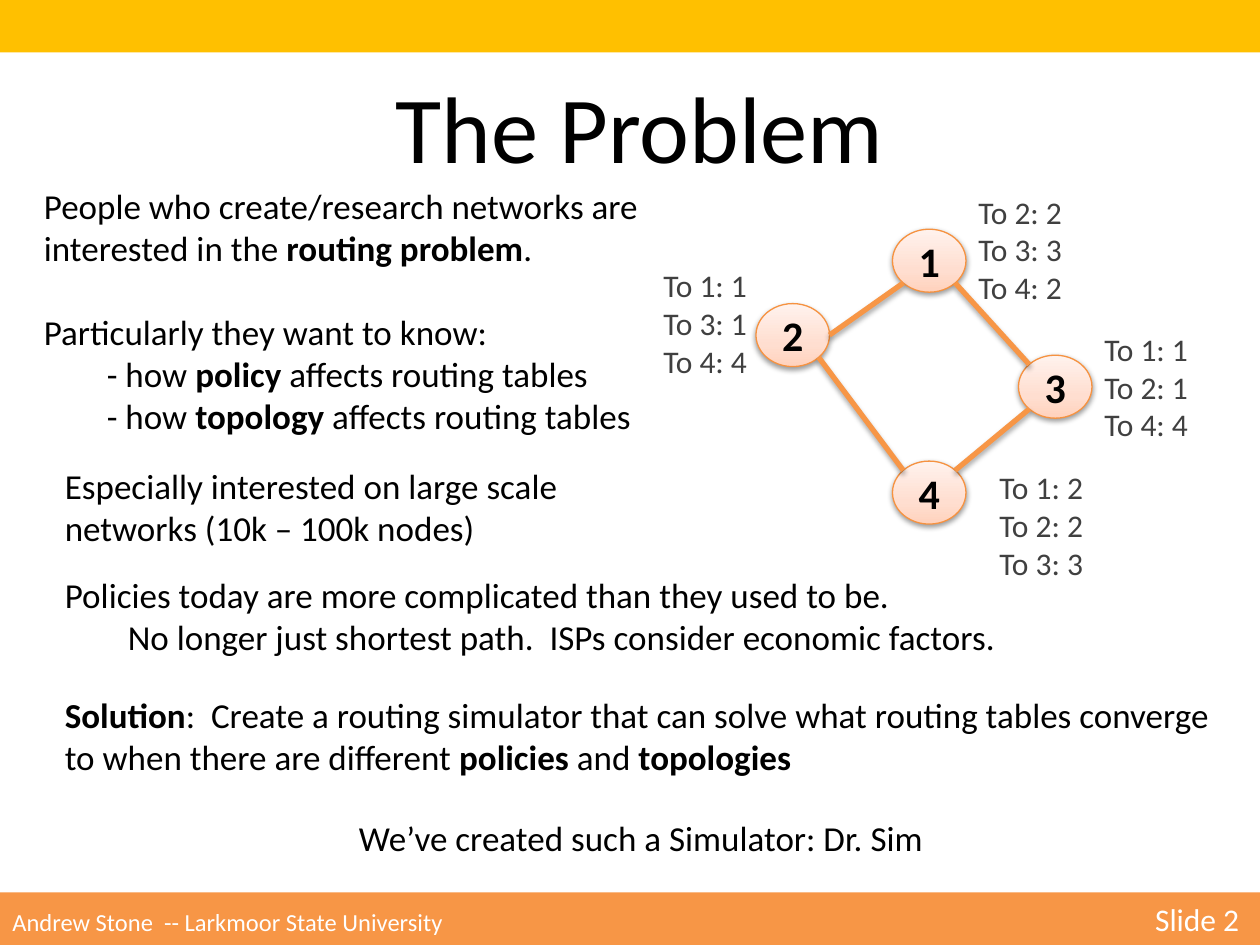
from dataclasses import dataclass
from math import cos, radians, sin

from lxml.etree import SubElement
from pptx import Presentation
from pptx.dml.color import RGBColor
from pptx.enum.shapes import MSO_CONNECTOR as Connector, MSO_SHAPE as Shape
from pptx.enum.text import MSO_ANCHOR as Anchor, MSO_AUTO_SIZE as AutoSize, PP_ALIGN as Align
from pptx.oxml.ns import qn
from pptx.util import Pt


@dataclass(frozen=True)
class Theme:
    font: str = "Calibri"
    black: str = "000000"
    grey: str = "404040"
    white: str = "FFFFFF"
    gold: str = "FFC000"
    orange: str = "F79646"
    node_line: str = "F69240"
    node_stops: tuple = ((0, "FFD2BD"), (35, "FFDED0"), (100, "FFF2ED"))
    title: int = 54
    node: int = 24
    body: int = 20
    label: int = 18
    footer: int = 14


THEME = Theme()
PAGE_WIDTH, PAGE_HEIGHT, BAND_HEIGHT = 720, 540, 30
NODE_WIDTH, NODE_HEIGHT = 42, 36

# number: node left and top, table left and top, routes as (target, next hop)
NODES = {
    1: ((510, 131), (552, 106.5), ((2, 2), (3, 3), (4, 2))),
    2: ((432, 173.5), (372, 148.5), ((1, 1), (3, 1), (4, 4))),
    3: ((582, 203), (624, 185), ((1, 1), (2, 1), (4, 4))),
    4: ((510, 263.5), (564, 264), ((1, 2), (2, 2), (3, 3))),
}
# start node, angle on its rim, end node, angle on its rim
LINKS = ((2, 0, 1, 135), (2, 45, 4, 225), (3, 225, 1, 45), (3, 135, 4, 315))


def rgb(color):
    return RGBColor.from_string(color)


def add_run(para, text, size, color=THEME.black, bold=False):
    span = para.add_run()
    span.text = text
    span.font.name = THEME.font
    span.font.size = Pt(size)
    span.font.bold = bold
    span.font.color.rgb = rgb(color)


def add_text(page, place, paras, size=THEME.body, color=THEME.black,
             wrap=True, align=Align.LEFT):
    """Each paragraph is (runs, left margin, space before); odd runs are bold."""
    box = page.shapes.add_textbox(*map(Pt, place))
    frame = box.text_frame
    frame.word_wrap = wrap
    frame.auto_size = AutoSize.SHAPE_TO_FIT_TEXT
    for index, (runs, margin, gap) in enumerate(paras):
        para = frame.add_paragraph() if index else frame.paragraphs[0]
        para.alignment = align
        if gap:
            para.space_before = Pt(gap)
        if margin:
            para._p.get_or_add_pPr().set("marL", str(Pt(margin)))
        for number, text in enumerate(runs):
            if text:
                add_run(para, text, size, color, bold=number % 2 == 1)


def add_shadow(item, opacity, distance):
    effects = SubElement(item._element.spPr, qn("a:effectLst"))
    shadow = SubElement(effects, qn("a:outerShdw"), blurRad=str(Pt(3.1)),
                        dist=str(Pt(distance)), dir="5400000", rotWithShape="0")
    color = SubElement(shadow, qn("a:srgbClr"), val=THEME.black)
    SubElement(color, qn("a:alpha"), val=str(opacity * 1000))


def add_band(page, top, color):
    band = page.shapes.add_shape(Shape.RECTANGLE, 0, Pt(top), Pt(PAGE_WIDTH), Pt(BAND_HEIGHT))
    band.shadow.inherit = False
    band.fill.solid()
    band.fill.fore_color.rgb = rgb(color)
    band.line.fill.background()
    return band


def add_footer(page):
    band = add_band(page, PAGE_HEIGHT - BAND_HEIGHT, THEME.orange)
    band.text_frame.vertical_anchor = Anchor.MIDDLE
    para = band.text_frame.paragraphs[0]
    para.alignment = Align.LEFT
    tabs = SubElement(para._p.get_or_add_pPr(), qn("a:tabLst"))
    SubElement(tabs, qn("a:tab"), pos=str(Pt(653)), algn="l")
    add_run(para, "Andrew Stone  -- Larkmoor State University\t", THEME.footer, THEME.white)
    add_run(para, "Slide 2", THEME.label, THEME.white)


def add_node(page, number, left, top):
    node = page.shapes.add_shape(Shape.OVAL, Pt(left), Pt(top), Pt(NODE_WIDTH), Pt(NODE_HEIGHT))
    # Three-stop gradient, running upwards
    node.fill.gradient()
    gradient = node._element.spPr.find(qn("a:gradFill"))
    for child in list(gradient):
        gradient.remove(child)
    stops = SubElement(gradient, qn("a:gsLst"))
    for position, color in THEME.node_stops:
        stop = SubElement(stops, qn("a:gs"), pos=str(position * 1000))
        SubElement(stop, qn("a:srgbClr"), val=color)
    SubElement(gradient, qn("a:lin"), ang=str(270 * 60000), scaled="0")
    node.line.color.rgb = rgb(THEME.node_line)
    node.line.width = Pt(0.75)
    add_shadow(node, 38, 1.6)
    node.text_frame.vertical_anchor = Anchor.MIDDLE
    para = node.text_frame.paragraphs[0]
    para.alignment = Align.CENTER
    add_run(para, str(number), THEME.node, bold=True)


def rim_point(number, angle):
    left, top = NODES[number][0]
    return (Pt(left + NODE_WIDTH / 2 * (1 + cos(radians(angle)))),
            Pt(top + NODE_HEIGHT / 2 * (1 + sin(radians(angle)))))


def add_link(page, start, start_angle, end, end_angle):
    link = page.shapes.add_connector(Connector.STRAIGHT, *rim_point(start, start_angle),
                                     *rim_point(end, end_angle))
    link.line.color.rgb = rgb(THEME.orange)
    link.line.width = Pt(3)
    add_shadow(link, 35, 1.8)


def add_network(page):
    for number, (place, table_place, routes) in NODES.items():
        add_node(page, number, *place)
        rows = [([f"To {target}: {hop}"], 0, 0) for target, hop in routes]
        add_text(page, (*table_place, 63.5, 72.5), rows, THEME.label, THEME.grey, wrap=False)
    for link in LINKS:
        add_link(page, *link)


def add_body(page):
    add_text(page, (18, 102, 396, 152.5), [
        (["People who create/research networks are interested in the ",
          "routing problem", "."], 0, 0),
        (["Particularly they want to know:"], 0, 24),
        (["- how ", "policy", " affects routing tables"], 36, 0),
        (["- how ", "topology", " affects routing tables"], 36, 0)])
    add_text(page, (30, 262, 354, 55.5), [
        (["Especially interested on large scale networks (10k – 100k nodes)"], 0, 0)])
    add_text(page, (30, 324, 551, 55.5), [
        (["Policies today are more complicated than they used to be."], 0, 0),
        (["No longer just shortest path.  ISPs consider economic factors."], 36, 0)], wrap=False)
    add_text(page, (30, 393, 678, 55.5), [
        (["", "Solution", ":  Create a routing simulator that can solve what routing tables "
          "converge to when there are different ", "policies", " and ", "topologies"], 0, 0)])
    add_text(page, (198, 463, 345, 31.5), [
        (["We’ve created such a Simulator: Dr. Sim"], 0, 0)], wrap=False)


def main():
    deck = Presentation()
    deck.slide_width, deck.slide_height = Pt(PAGE_WIDTH), Pt(PAGE_HEIGHT)
    page = deck.slides.add_slide(deck.slide_layouts[6])

    # Top band and title
    add_band(page, 0, THEME.gold)
    add_text(page, (217.5, 36, 296, 72.5), [(["The Problem"], 0, 0)],
             THEME.title, wrap=False, align=Align.CENTER)

    # Statements, network diagram and footer
    add_body(page)
    add_network(page)
    add_footer(page)
    deck.save("out.pptx")


main()
